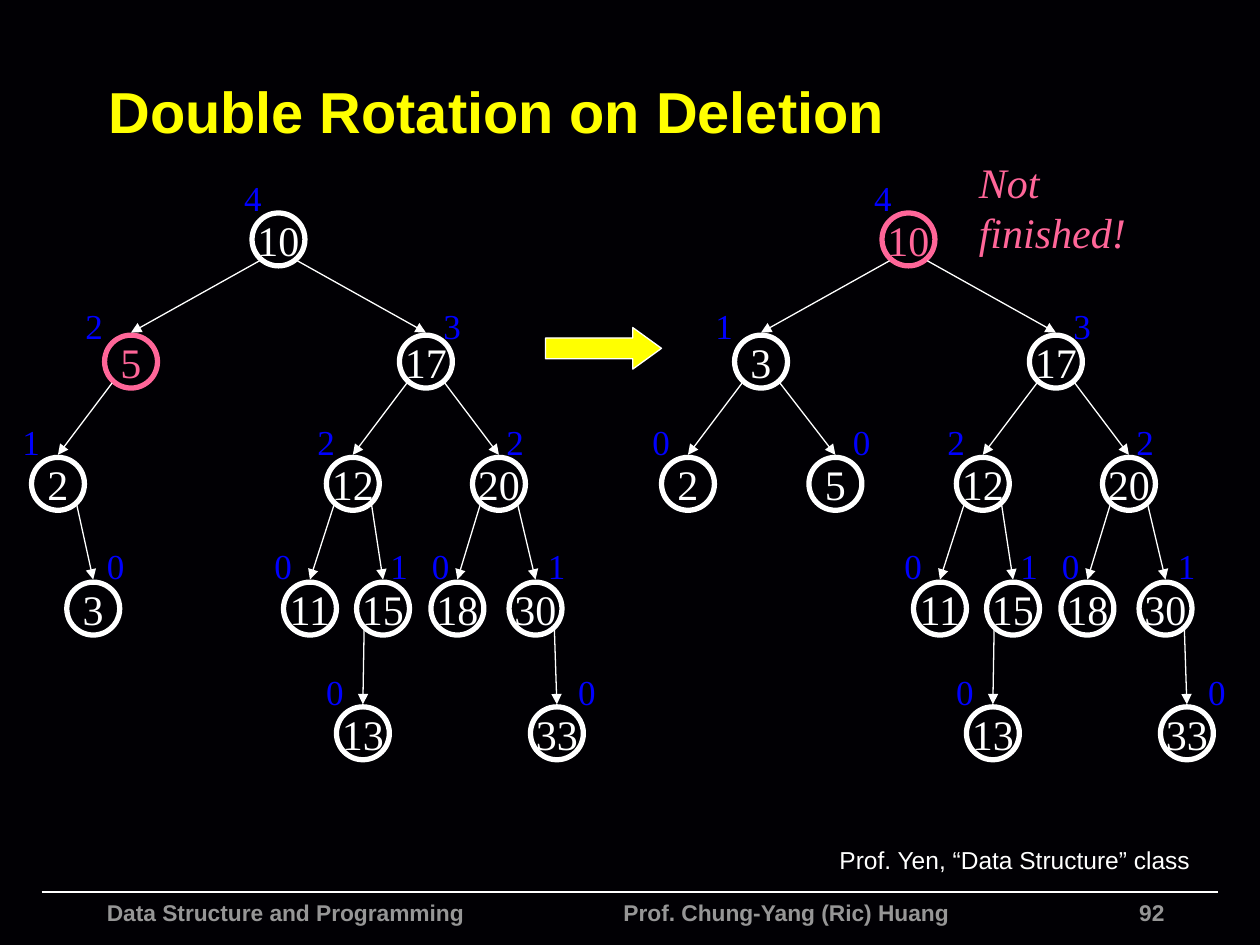
"""Build the slide that shows a double rotation after deleting from an AVL tree."""
from dataclasses import dataclass

from lxml import etree
from pptx import Presentation
from pptx.dml.color import RGBColor
from pptx.enum.shapes import MSO_CONNECTOR, MSO_SHAPE
from pptx.enum.text import MSO_ANCHOR, MSO_AUTO_SIZE, PP_ALIGN
from pptx.oxml.ns import qn
from pptx.util import Inches, Pt

STRAIGHT = MSO_CONNECTOR.STRAIGHT
OVAL, RIGHT_ARROW = MSO_SHAPE.OVAL, MSO_SHAPE.RIGHT_ARROW
LEFT, CENTER, RIGHT = PP_ALIGN.LEFT, PP_ALIGN.CENTER, PP_ALIGN.RIGHT
MIDDLE = MSO_ANCHOR.MIDDLE
GROW = MSO_AUTO_SIZE.SHAPE_TO_FIT_TEXT

COLORS = {
    "background": "010004",
    "white": "FFFFFF",
    "yellow": "FFFF00",
    "height": "0000FF",
    "highlight": "FF6699",
    "footer": "969696",
}
SANS, SERIF = "Arial", "Times New Roman"

NODE_SIZE = 0.42
NODE_TOPS = (1.69, 2.66, 3.63, 4.62, 5.61)
HEIGHT_TOPS = (1.35, 2.37, 3.29, 4.27, 5.27)
EDGE_START_X, EDGE_START_Y, EDGE_GAP = 0.15, 0.38, 0.02


@dataclass
class Style:
    size: float
    font: str
    color: str
    bold: bool = False
    italic: bool = False


@dataclass
class Node:
    key: int
    level: int
    left: float
    height: int
    height_left: float
    parent: int | None = None
    color: str = "white"


@dataclass
class Tree:
    offset: float
    nodes: list[Node]


KEY_STYLE = Style(24, SERIF, "white")
HEIGHT_STYLE = Style(20, SERIF, "height")
FOOTER_STYLE = Style(13, SANS, "footer", bold=True)

RIGHT_SUBTREE = [
    Node(17, 1, 3.17, 3, 3.42, 10),
    Node(12, 2, 2.59, 2, 2.42, 17),
    Node(20, 2, 3.75, 2, 3.92, 17),
    Node(11, 3, 2.25, 0, 2.08, 12),
    Node(15, 3, 2.83, 1, 3.0, 12),
    Node(18, 3, 3.42, 0, 3.33, 20),
    Node(30, 3, 4.04, 1, 4.25, 20),
    Node(13, 4, 2.67, 0, 2.49, 15),
    Node(33, 4, 4.21, 0, 4.49, 30),
]
BEFORE = Tree(0, [
    Node(10, 0, 2.0, 4, 1.84),
    Node(5, 1, 0.83, 2, 0.58, 10, "highlight"),
    Node(2, 2, 0.25, 1, 0.08, 5),
    Node(3, 3, 0.53, 0, 0.75, 2),
    *RIGHT_SUBTREE,
])
AFTER = Tree(5, [
    Node(10, 0, 2.0, 4, 1.84, color="highlight"),
    Node(3, 1, 0.83, 1, 0.58, 10),
    Node(2, 2, 0.25, 0, 0.08, 3),
    Node(5, 2, 1.42, 0, 1.67, 3),
    *RIGHT_SUBTREE,
])


def rgb(name: str) -> RGBColor:
    return RGBColor.from_string(COLORS[name])


def write(shape, text: str, style: Style, align=LEFT) -> None:
    shape.text_frame.text = text
    paragraph = shape.text_frame.paragraphs[0]
    paragraph.alignment = align
    for run in paragraph.runs:
        run.font.size = Pt(style.size)
        run.font.name = style.font
        run.font.bold = style.bold
        run.font.italic = style.italic
        run.font.color.rgb = rgb(style.color)


def add_text(slide, box: tuple, text: str, style: Style, align=LEFT,
             wrap: bool = True, grow: bool = True):
    label = slide.shapes.add_textbox(*map(Inches, box))
    write(label, text, style, align)
    label.text_frame.word_wrap = wrap
    if grow:
        label.text_frame.auto_size = GROW
    return label


def add_line(slide, start: tuple, end: tuple, width: float, arrow: bool = False) -> None:
    line = slide.shapes.add_connector(STRAIGHT, *map(Inches, (*start, *end)))
    line.line.color.rgb = rgb("white")
    line.line.width = Pt(width)
    if arrow:
        etree.SubElement(line.line._get_or_add_ln(), qn("a:tailEnd"), type="triangle")
    etree.SubElement(line._element.spPr, qn("a:effectLst"))


def add_edge(slide, parent: Node, child: Node, offset: float) -> None:
    middle = offset + NODE_SIZE / 2
    side = 1 if child.left > parent.left else -1
    start = (parent.left + middle + side * EDGE_START_X,
             NODE_TOPS[parent.level] + EDGE_START_Y)
    end = (child.left + middle, NODE_TOPS[child.level] - EDGE_GAP)
    add_line(slide, start, end, 0.75, arrow=True)


def add_node(slide, node: Node, offset: float) -> None:
    box = (node.left + offset, NODE_TOPS[node.level], NODE_SIZE, NODE_SIZE)
    circle = slide.shapes.add_shape(OVAL, *map(Inches, box))
    circle.shadow.inherit = False
    circle.fill.background()
    circle.line.color.rgb = rgb(node.color)
    circle.line.width = Pt(3)
    write(circle, str(node.key), Style(KEY_STYLE.size, SERIF, node.color), CENTER)
    circle.text_frame.word_wrap = False
    circle.text_frame.vertical_anchor = MIDDLE
    height_box = (node.height_left + offset, HEIGHT_TOPS[node.level], 0.34, 0.43)
    add_text(slide, height_box, str(node.height), HEIGHT_STYLE, wrap=False)


def add_tree(slide, tree: Tree) -> None:
    by_key = {node.key: node for node in tree.nodes}
    for node in tree.nodes:
        add_node(slide, node, tree.offset)
        if node.parent is not None:
            add_edge(slide, by_key[node.parent], node, tree.offset)


def add_footer(slide) -> None:
    add_line(slide, (0.33, 7.08), (9.67, 7.08), 1)
    add_text(slide, (6.17, 7.08, 3.17, 0.18), "92", FOOTER_STYLE, RIGHT, grow=False)
    course = add_text(slide, (0.75, 7.08, 7.24, 0.42),
                      "Data Structure and Programming\tProf. Chung-Yang (Ric) Huang",
                      FOOTER_STYLE, grow=False)
    properties = course.text_frame.paragraphs[0]._p.get_or_add_pPr()
    tabs = etree.SubElement(properties, qn("a:tabLst"))
    etree.SubElement(tabs, qn("a:tab"), pos=str(Inches(4.1)), algn="l")


def add_title(slide) -> None:
    title = slide.shapes.title
    title.left, title.top, title.width, title.height = map(Inches, (0.76, 0.37, 8.84, 1.01))
    write(title, "Double Rotation on Deletion", Style(33, SANS, "yellow", bold=True))
    title.text_frame.vertical_anchor = MIDDLE


def add_rotation_arrow(slide) -> None:
    rotation = slide.shapes.add_shape(RIGHT_ARROW, *map(Inches, (4.33, 2.6, 0.92, 0.33)))
    rotation.adjustments[0], rotation.adjustments[1] = 0.5, 0.69
    rotation.shadow.inherit = False
    rotation.fill.solid()
    rotation.fill.fore_color.rgb = rgb("yellow")
    rotation.line.color.rgb = rgb("white")
    rotation.line.width = Pt(0.75)


def main() -> None:
    deck = Presentation()
    deck.slide_width, deck.slide_height = Inches(10), Inches(7.5)
    slide = deck.slides.add_slide(deck.slide_layouts[5])
    slide.background.fill.solid()
    slide.background.fill.fore_color.rgb = rgb("background")
    add_footer(slide)
    add_title(slide)
    add_rotation_arrow(slide)
    for tree in (BEFORE, AFTER):
        add_tree(slide, tree)
    add_text(slide, (7.67, 1.19, 1.75, 0.9), "Not finished!",
             Style(24, SERIF, "highlight", italic=True))
    credit = add_text(slide, (6.61, 6.66, 2.89, 0.33), "Prof. Yen, “Data Structure” class",
                      Style(14, SANS, "white"), CENTER, wrap=False)
    credit.text_frame.margin_left = credit.text_frame.margin_right = Inches(0.05)
    deck.save("out.pptx")


if __name__ == "__main__":
    main()
